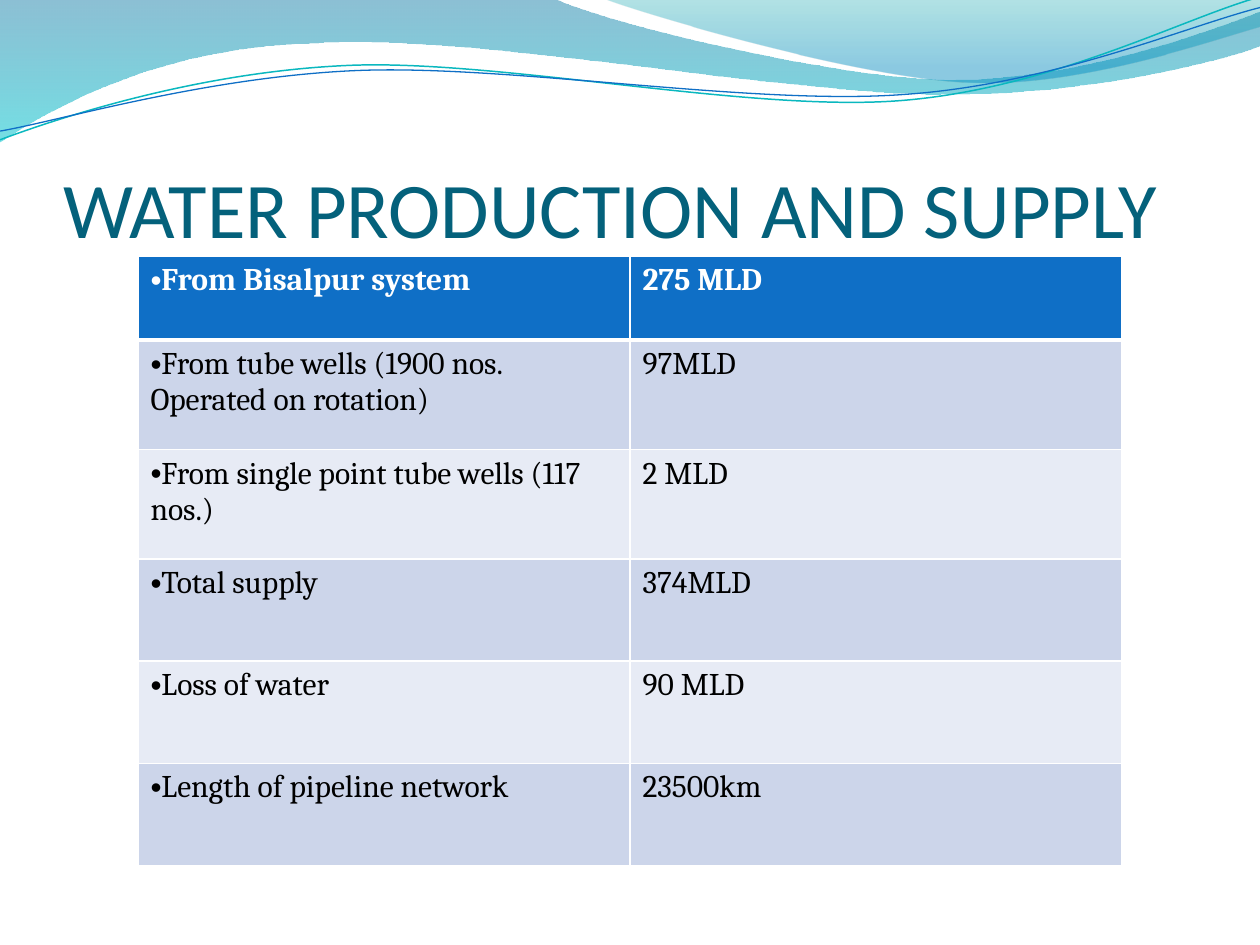
from pptx import Presentation
from pptx.dml.color import RGBColor
from pptx.enum.text import MSO_ANCHOR
from pptx.oxml.ns import qn
from pptx.util import Pt
from lxml.etree import SubElement, Element

THEME = {
    "title": ("Calibri", 45, "04617B"),
    "head": ("Cambria", 18, "FFFFFF"),
    "body": ("Cambria", 18, "000000"),
    "bullet": "Arial",
    "head fill": "0F6FC6",
    "bands": ("CCD5EA", "E7EBF5"),
    "rule": "FFFFFF",
}
TITLE = "WATER PRODUCTION AND SUPPLY"
ROWS = [
    ("From Bisalpur system", "275 MLD", 48),
    ("From tube wells (1900 nos. Operated on rotation)", "97MLD", 62.6),
    ("From single point tube wells (117 nos.)", "2 MLD", 62.6),
    ("Total supply", "374MLD", 58.4),
    ("Loss of water", "90 MLD", 58.4),
    ("Length of pipeline network", "23500km", 58.4),
]

# A pair of numbers is a straight step, six numbers are a Bezier step.
# Fill stops are (position, colour, opacity in percent).
WAVES = [
    ([(0, 0), (316.8, -0.7),
      (342.7, 12.2, 478.1, 45.4, 545.8, 45.4),
      (614.2, 45.4, 689.8, 18.7, 720, 6.5), (720.7, 25.9),
      (707.8, 31.7, 626.4, 54.7, 537.1, 54),
      (447.8, 54, 275, 20.2, 185, 24.5),
      (92.9, 25.9, 33.1, 59.8, -0.7, 81.4), (0, 0)],
     [(0, "0074A1", 45), (1, "00C6CF", 55)]),
    ([(344.9, -0.7),
      (366.5, 7.9, 491, 44.6, 553.7, 46.8),
      (616.3, 49.7, 691.9, 23, 720, 15.1), (720, 0), (344.9, -0.7)],
     [(0, "00A1A9", 30), (0.8, "008BBF", 45)]),
]
LINES = [
    ([(0, 79.9),
      (34.6, 67, 113.8, 41, 199.4, 37.4),
      (284.4, 33.8, 427, 64.1, 513.4, 57.6),
      (599.8, 51.1, 675.4, 10.8, 718.6, -1.4)], "0AB8BF", 0.85),
    ([(0, 74.9),
      (33.8, 69.1, 118.1, 43.9, 203.8, 40.3),
      (290.2, 36.7, 429.8, 60.5, 516.2, 54),
      (601.9, 48.2, 677.5, 15.1, 720, 4.3)], "0F6FC6", 0.75),
]


def rgb(code):
    return RGBColor.from_string(code)


def outline(slide, steps, close):
    """Build a freeform through the step ends, then bend its Bezier steps."""
    ends = [(Pt(step[-2]), Pt(step[-1])) for step in steps]
    pen = slide.shapes.build_freeform(*ends[0])
    pen.add_line_segments(ends[1:], close=close)
    shape = pen.convert_to_shape()
    shape.shadow.inherit = False
    parts = list(shape._element.iter(qn("a:lnTo")))
    for part, step in zip(parts, steps[1:]):
        if len(step) == 2:
            continue
        curve = Element(qn("a:cubicBezTo"))
        for x, y in zip(step[::2], step[1::2]):
            SubElement(curve, qn("a:pt"), x=str(Pt(x) - shape.left),
                       y=str(Pt(y) - shape.top))
        part.getparent().replace(part, curve)
    return shape


def add_wave(slide, steps, stops):
    shape = outline(slide, steps, True)
    shape.line.fill.background()
    shape.fill.gradient()
    shape.fill.gradient_angle = 270
    for stop, (place, code, _) in zip(shape.fill.gradient_stops, stops):
        stop.position = place
        stop.color.rgb = rgb(code)
    tints = shape._element.spPr.iter(qn("a:srgbClr"))
    for tint, (_, _, alpha) in zip(tints, stops):
        SubElement(tint, qn("a:alpha"), val=str(alpha * 1000))


def add_line(slide, steps, code, width):
    shape = outline(slide, steps, False)
    shape.fill.background()
    shape.line.color.rgb = rgb(code)
    shape.line.width = Pt(width)


def write(para, text, style, bold=False):
    name, size, code = THEME[style]
    run = para.add_run()
    run.text = text
    run.font.name, run.font.size, run.font.bold = name, Pt(size), bold
    run.font.color.rgb = rgb(code)


def add_title(slide):
    box = slide.shapes.add_textbox(Pt(36), Pt(55.4), Pt(653.8), Pt(90))
    frame = box.text_frame
    frame.word_wrap = True
    frame.vertical_anchor = MSO_ANCHOR.BOTTOM
    frame.margin_left = frame.margin_right = frame.margin_bottom = 0
    frame.margin_top = Pt(3.6)
    write(frame.paragraphs[0], TITLE, "title")


def edge(cell, widths):
    """Rule the left, right, top and bottom sides of a cell."""
    props = cell._tc.get_or_add_tcPr()
    for i, (side, width) in enumerate(zip("LRTB", widths)):
        line = Element(qn("a:ln" + side), w=str(Pt(width)))
        fill = SubElement(line, qn("a:solidFill"))
        SubElement(fill, qn("a:srgbClr"), val=THEME["rule"])
        props.insert(i, line)


def add_bullet(para):
    props = para._p.get_or_add_pPr()
    SubElement(props, qn("a:buFont"), typeface=THEME["bullet"])
    SubElement(props, qn("a:buChar"), char="•")


def add_grid(slide):
    high = sum(row[2] for row in ROWS)
    grid = slide.shapes.add_table(
        len(ROWS), 2, Pt(78.8), Pt(146.2), Pt(562.4), Pt(high)).table
    grid.first_row = grid.horz_banding = False
    for r, (label, value, height) in enumerate(ROWS):
        grid.rows[r].height = Pt(height)
        head = r == 0
        for c, text in enumerate((label, value)):
            cell = grid.cell(r, c)
            cell.fill.solid()
            code = THEME["head fill"] if head else THEME["bands"][(r - 1) % 2]
            cell.fill.fore_color.rgb = rgb(code)
            edge(cell, (1, 1, 3 if r == 1 else 1, 3 if head else 1))
            para = cell.text_frame.paragraphs[0]
            if c == 0:
                add_bullet(para)
            write(para, text, "head" if head else "body", head)


def main():
    deck = Presentation()
    deck.slide_width, deck.slide_height = Pt(720), Pt(540)
    slide = deck.slides.add_slide(deck.slide_layouts[6])
    for wave in WAVES:
        add_wave(slide, *wave)
    for line in LINES:
        add_line(slide, *line)
    add_title(slide)
    add_grid(slide)
    deck.save("out.pptx")


if __name__ == "__main__":
    main()
